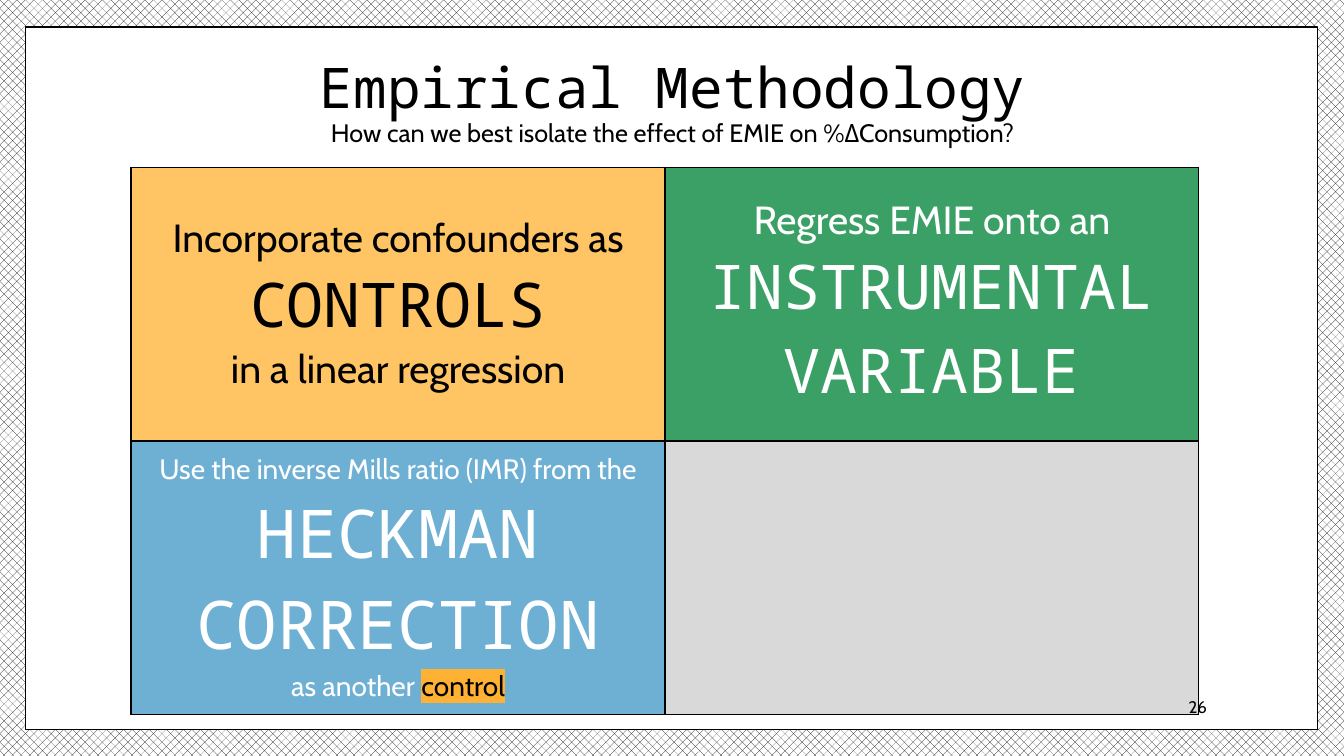
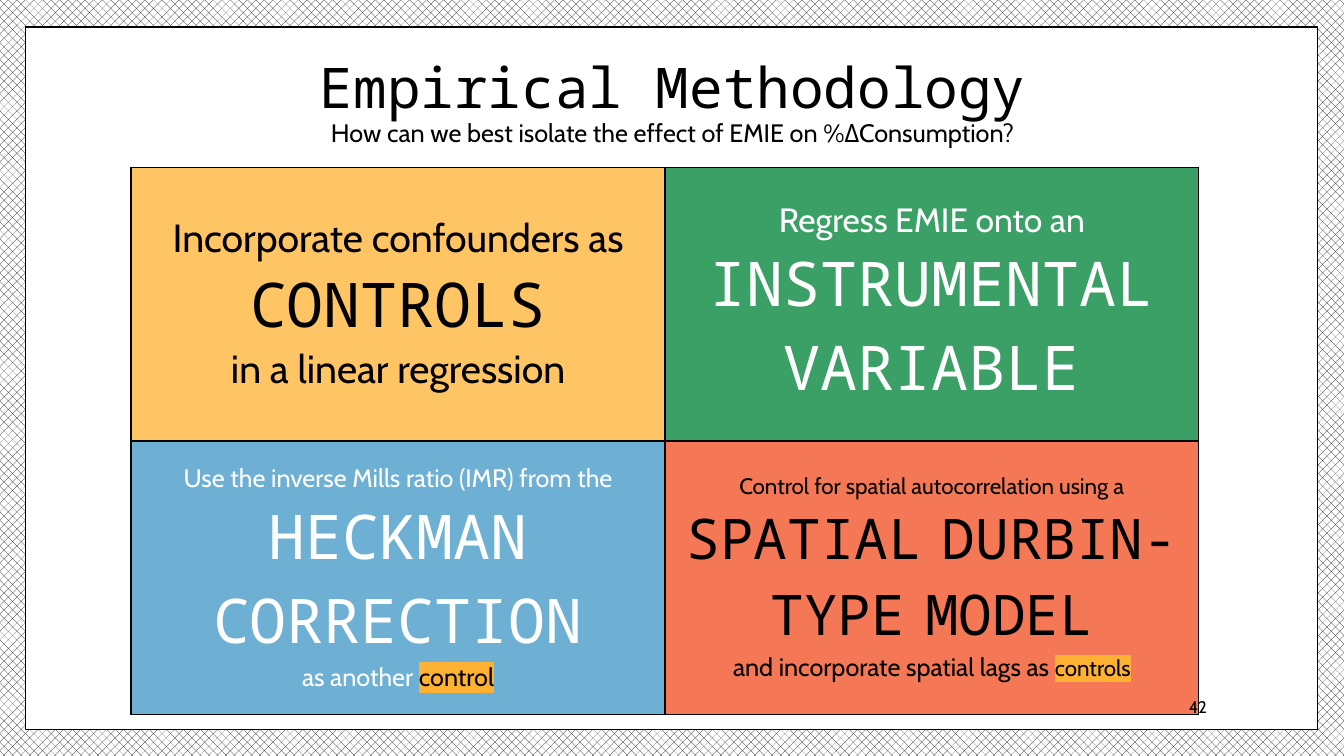
from dataclasses import dataclass

from lxml import etree
from pptx import Presentation
from pptx.dml.color import RGBColor
from pptx.enum.dml import MSO_PATTERN
from pptx.enum.shapes import MSO_SHAPE
from pptx.enum.text import MSO_ANCHOR, PP_ALIGN
from pptx.oxml.ns import qn
from pptx.util import Inches, Pt

RECTANGLE = MSO_SHAPE.RECTANGLE
HATCH = MSO_PATTERN.from_xml("pct40")
MIDDLE = MSO_ANCHOR.MIDDLE
CENTER, RIGHT = PP_ALIGN.CENTER, PP_ALIGN.RIGHT


@dataclass(frozen=True)
class Theme:
    black: str = "000000"
    white: str = "FFFFFF"
    hatch: str = "0D0D0D"
    yellow: str = "FFC565"
    green: str = "3AA066"
    blue: str = "6EB0D4"
    orange: str = "F47856"
    gray: str = "D9D9D9"
    marker: str = "FFB133"
    mono: str = "Noto Sans Mono"
    sans: str = "Cabin"
    title: int = 40
    subtitle: int = 18
    number: int = 12
    line: int = 1


THEME = Theme()

FRAME_BOX = (0.25, 0.27, 12.82, 6.97)
TITLE_BOX = (0.94, 0.5, 11.46, 1.07)
GRID_BOX = (1.3, 1.66, 10.59, 5.43)
NUMBER_BOX = (10.2, 6.81, 1.87, 0.4)


@dataclass(frozen=True)
class Span:
    """A stretch of text; a closing newline becomes a line break."""
    text: str
    size: int
    font: str = THEME.sans
    marked: bool = False


@dataclass(frozen=True)
class Quadrant:
    fill: str
    color: str = THEME.black
    paragraphs: tuple = ()


def mono(text, size):
    return Span(text, size, THEME.mono)


def rgb(value):
    return RGBColor.from_string(value)


def inches(box):
    return [Inches(length) for length in box]


def mark(run):
    """Put the highlight right after the text fill, as the schema asks."""
    highlight = etree.Element(qn("a:highlight"))
    etree.SubElement(highlight, qn("a:srgbClr"), val=THEME.marker)
    run.font._element.find(qn("a:solidFill")).addnext(highlight)


def write_paragraphs(frame, paragraphs, color=THEME.black, **layout):
    for index, spans in enumerate(paragraphs):
        para = frame.add_paragraph() if index else frame.paragraphs[0]
        for name, value in layout.items():
            setattr(para, name, value)
        for span in spans:
            run = para.add_run()
            run.text = span.text.rstrip("\n")
            for name, value in {"name": span.font, "size": Pt(span.size)}.items():
                setattr(run.font, name, value)
            run.font.color.rgb = rgb(THEME.black if span.marked else color)
            if span.marked:
                mark(run)
            if span.text.endswith("\n"):
                para.add_line_break()


def add_text(page, box, spans, **layout):
    frame = page.shapes.add_textbox(*inches(box)).text_frame
    frame.word_wrap = True
    frame.vertical_anchor = MIDDLE
    write_paragraphs(frame, [spans], **layout)


def add_backdrop(page, box):
    """Hatched page with a white framed panel."""
    hatch = page.background.fill
    hatch.patterned()
    hatch.pattern = HATCH
    hatch.fore_color.rgb = rgb(THEME.hatch)
    hatch.back_color.rgb = rgb(THEME.white)
    panel = page.shapes.add_shape(RECTANGLE, *inches(box))
    panel.shadow.inherit = False
    panel.fill.solid()
    panel.fill.fore_color.rgb = rgb(THEME.white)
    panel.line.color.rgb = rgb(THEME.black)
    panel.line.width = Pt(THEME.line)


def add_borders(cell):
    properties = cell._tc.get_or_add_tcPr()
    for side in ("lnL", "lnR", "lnT", "lnB"):
        line = etree.SubElement(properties, qn(f"a:{side}"), w=str(Pt(THEME.line)))
        fill = etree.SubElement(line, qn("a:solidFill"))
        etree.SubElement(fill, qn("a:srgbClr"), val=THEME.black)


def add_quadrants(page, box, quadrants):
    """Two by two table, filled row by row."""
    table = page.shapes.add_table(2, 2, *inches(box)).table
    table.first_row = table.horz_banding = False
    for cell, quadrant in zip(table.iter_cells(), quadrants):
        add_borders(cell)
        cell.fill.solid()
        cell.fill.fore_color.rgb = rgb(quadrant.fill)
        cell.vertical_anchor = MIDDLE
        write_paragraphs(cell.text_frame, quadrant.paragraphs,
                         quadrant.color, alignment=CENTER)


def controls():
    return Quadrant(THEME.yellow, THEME.black, (
        [Span("Incorporate confounders as", 28)],
        [mono("CONTROLS\n", 44), Span("in a linear regression", 28)]))


def instrument(lead_size):
    return Quadrant(THEME.green, THEME.white, (
        [Span("Regress EMIE onto an", lead_size)],
        [mono("INSTRUMENTAL VARIABLE", 44)]))


def heckman(small, large):
    return Quadrant(THEME.blue, THEME.white, (
        [Span("Use the inverse Mills ratio (IMR) from the", small)],
        [mono("HECKMAN CORRECTION\n", large), Span("as another ", small),
         Span("control", small, marked=True)]))


def spatial_model():
    return Quadrant(THEME.orange, THEME.black, (
        [Span("Control for spatial autocorrelation using a", 16)],
        [mono("SPATIAL", 40), mono(" ", 24), mono("DURBIN-TYPE", 40),
         mono(" ", 24), mono("MODEL\n", 40),
         Span("and incorporate spatial lags as ", 18),
         Span("controls", 16, marked=True)]))


def add_methodology_page(deck, number, quadrants):
    page = deck.slides.add_slide(deck.slide_layouts[6])
    add_backdrop(page, FRAME_BOX)
    add_text(page, TITLE_BOX, [
        mono("Empirical Methodology\n", THEME.title),
        Span("How can we best isolate the effect of EMIE on %ΔConsumption?",
             THEME.subtitle),
    ], alignment=CENTER, line_spacing=0.9)
    add_quadrants(page, GRID_BOX, quadrants)
    add_text(page, NUMBER_BOX, [Span(str(number), THEME.number)], alignment=RIGHT)


def main():
    deck = Presentation()
    deck.slide_width, deck.slide_height = inches((13.33, 7.5))
    add_methodology_page(deck, 26, [
        controls(), instrument(28), heckman(20, 48), Quadrant(THEME.gray)])
    add_methodology_page(deck, 42, [
        controls(), instrument(24), heckman(18, 44), spatial_model()])
    deck.save("out.pptx")


if __name__ == "__main__":
    main()
